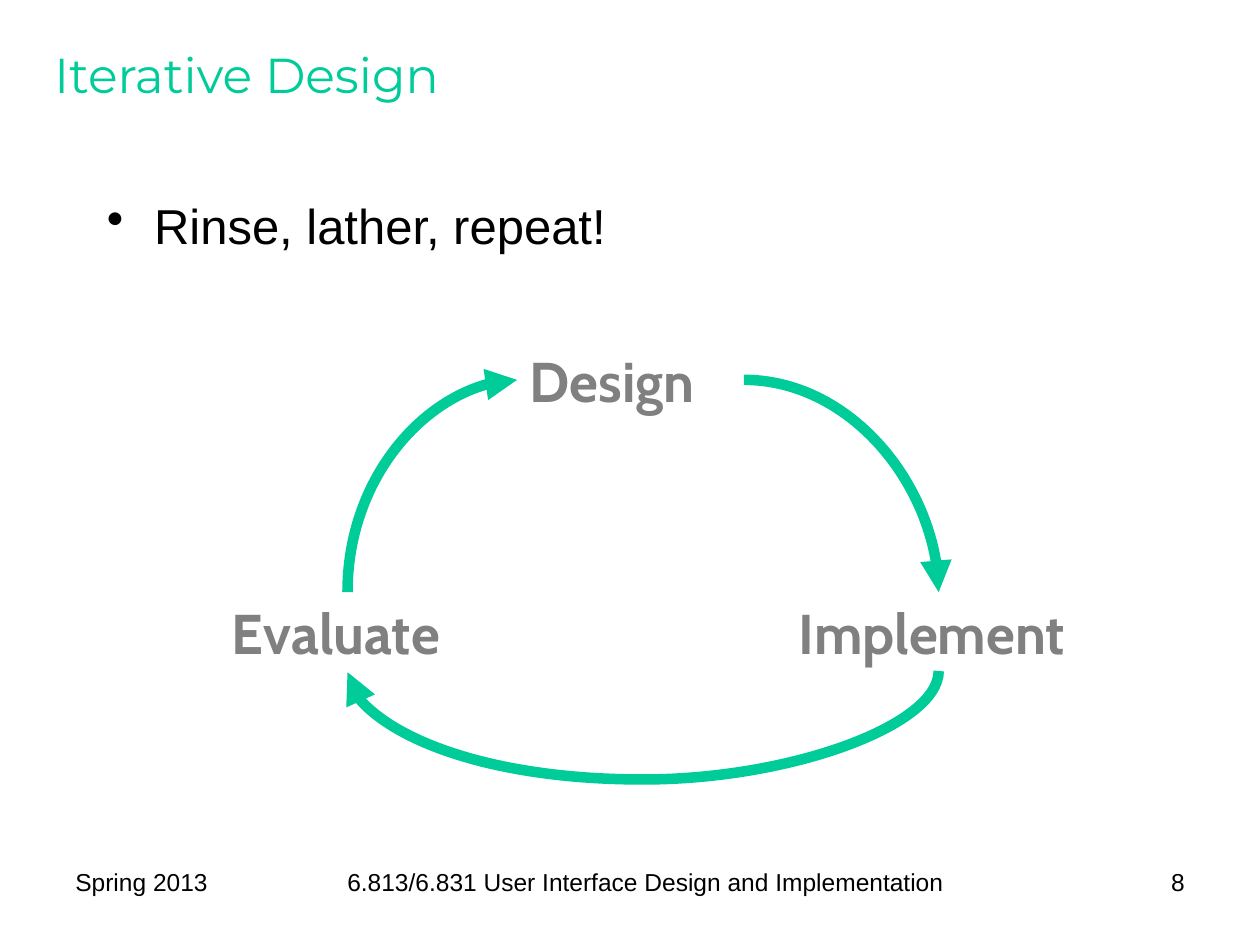
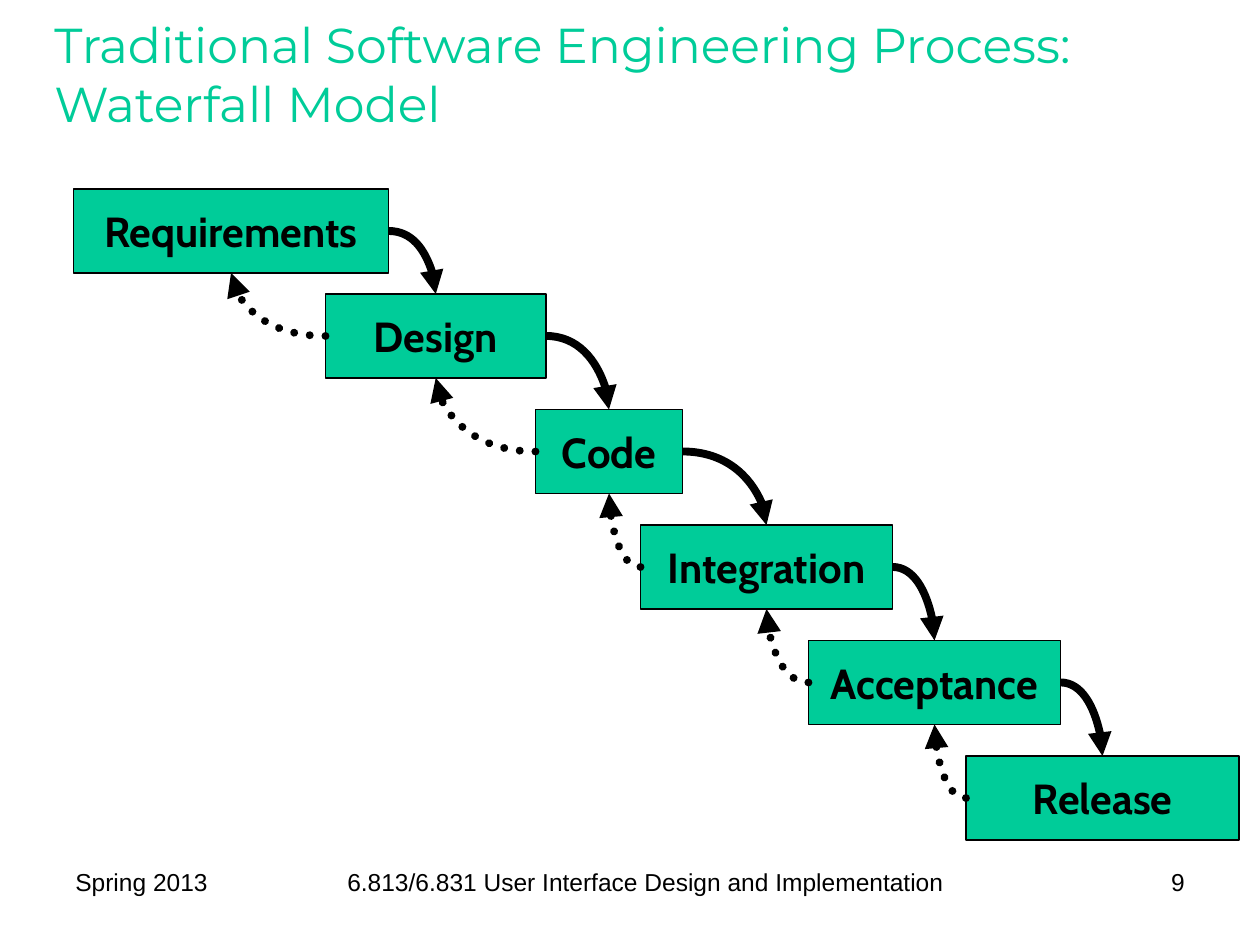
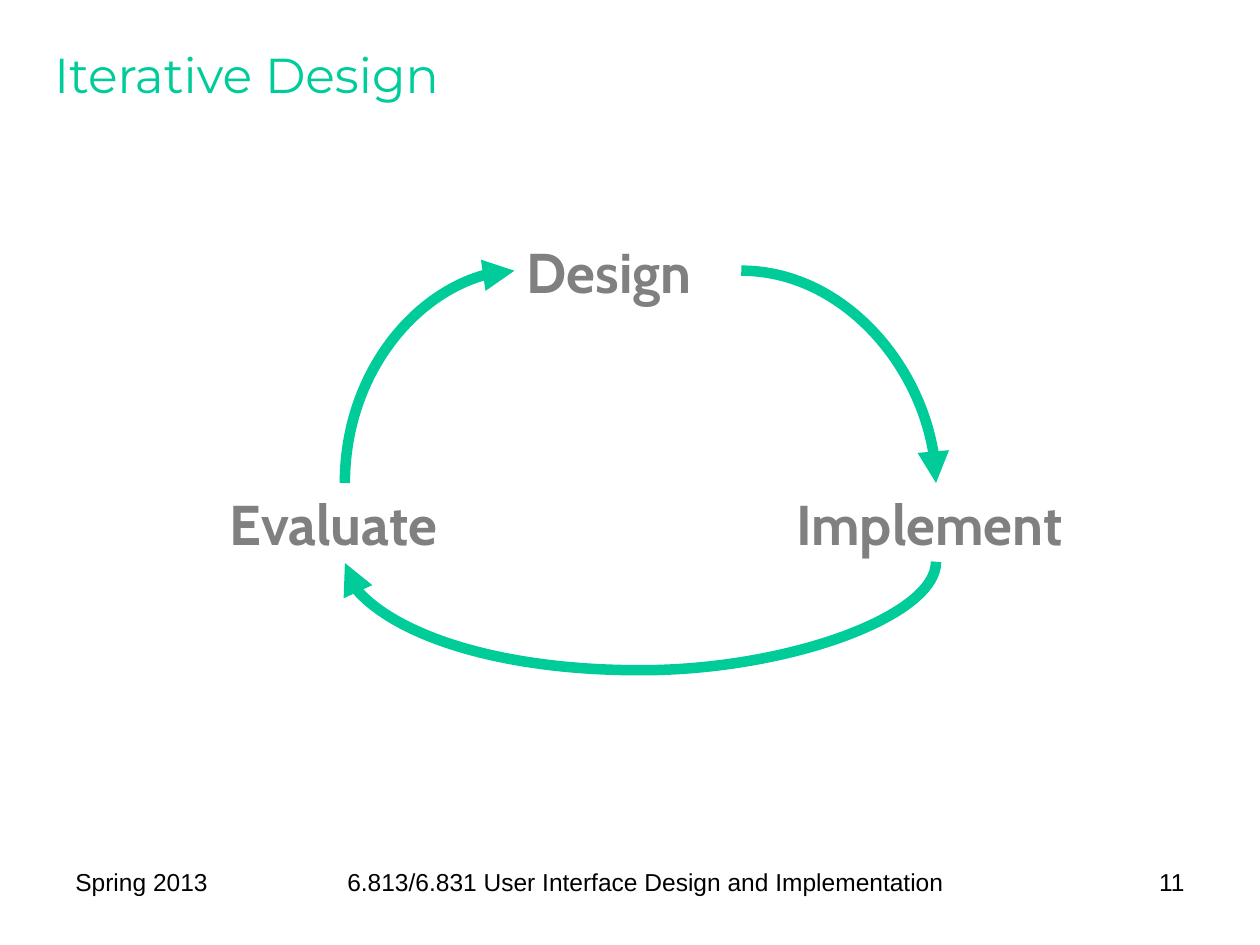
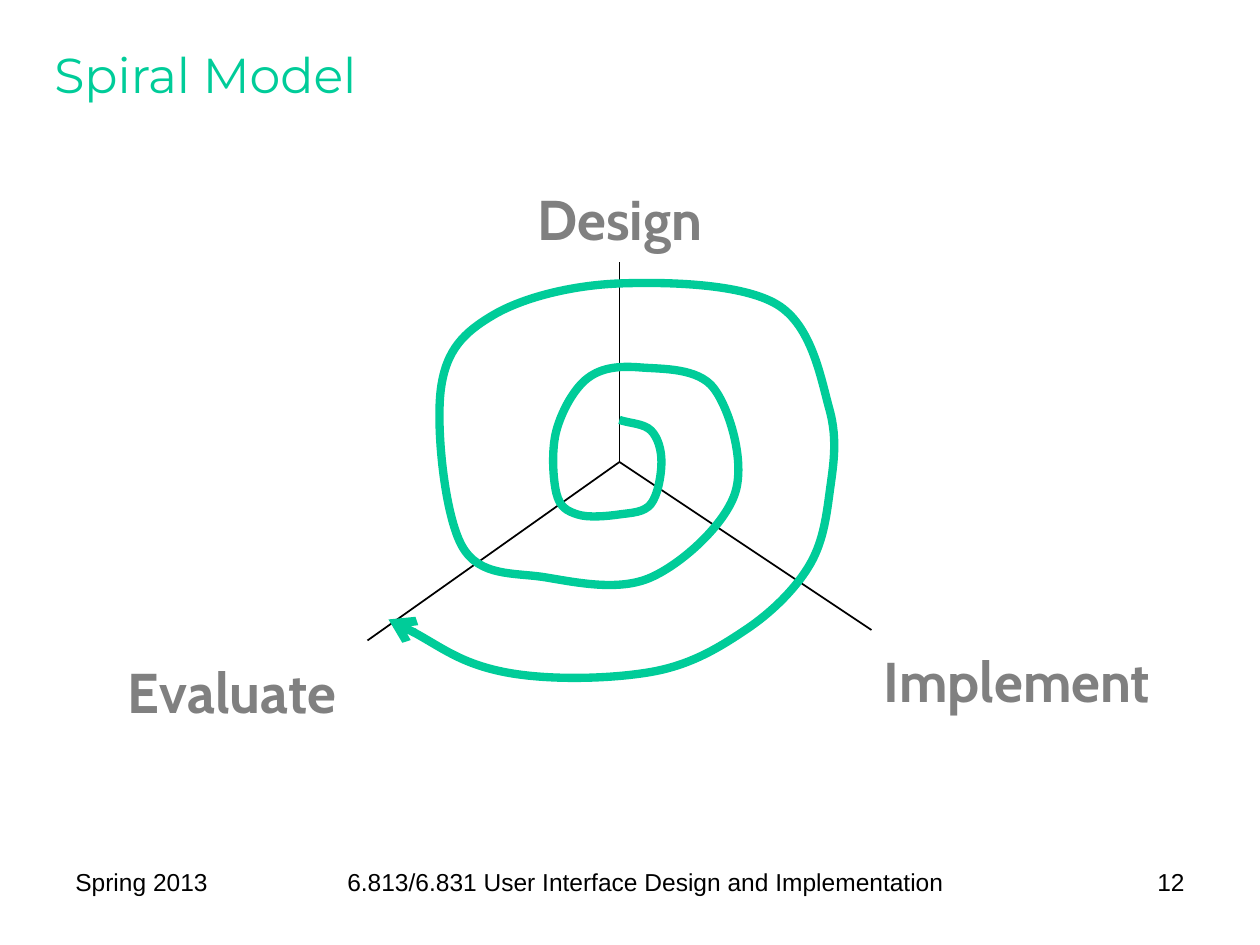
from itertools import pairwise
from lxml.etree import SubElement
from pptx import Presentation
from pptx.dml.color import RGBColor
from pptx.enum.dml import MSO_LINE
from pptx.enum.shapes import MSO_CONNECTOR, MSO_SHAPE
from pptx.enum.text import MSO_ANCHOR, MSO_AUTO_SIZE, PP_ALIGN
from pptx.oxml.ns import qn
from pptx.util import Inches, Pt

GREEN, GRAY, BLACK = "00CC99", "808080", "000000"
COLS, ROWS = 120, 90
TOP, LEFT, BOTTOM, RIGHT = range(4)
TURN = {RIGHT: 0, BOTTOM: 90, LEFT: 180, TOP: 270}

TITLE = {"name": "Montserrat", "size": Pt(28), "color": GREEN}
BODY = {"name": "Arial", "size": Pt(28), "color": BLACK}
FOOTER = {"name": "Arial", "size": Pt(14), "color": BLACK}
STEP = {"name": "Cabin", "size": Pt(32), "bold": True, "color": GRAY}
STAGE = {"name": "Cabin", "size": Pt(24), "bold": True, "color": BLACK}

STEP_WIDTHS = {"Design": 21.6, "Implement": 29, "Evaluate": 24.4}
STAGES = [
    ("Requirements", 7, 18, 30),
    ("Design", 31, 28, 21),
    ("Code", 51, 39, 14),
    ("Integration", 61, 50, 24),
    ("Acceptance", 77, 61, 24),
    ("Release", 92, 72, 26),
]
SPIRAL = [
    (59, 40), (62, 41), (63, 44), (62, 48), (59, 49), (55, 49), (53, 47),
    (53, 41), (56, 36), (61, 35), (68, 37), (70, 47), (62, 55), (52, 55),
    (44, 52), (42, 37), (47, 30), (59, 27), (74, 29), (79, 39), (79, 47),
    (77, 54), (71, 60), (62, 64), (48, 64), (37, 59),
]


def u(n):
    return Inches(n / 12)


def rgb(color):
    return RGBColor.from_string(color)


def write(tf, text, style, align=PP_ALIGN.LEFT, anchor=MSO_ANCHOR.TOP, wrap=True):
    tf.word_wrap = wrap
    tf.vertical_anchor = anchor
    p = tf.paragraphs[0]
    p.text = text
    p.alignment = align
    for r in p.runs:
        for key, value in style.items():
            if key == "color":
                r.font.color.rgb = rgb(value)
            else:
                setattr(r.font, key, value)
    return p


def add_text(s, box, text, style, **layout):
    tb = s.shapes.add_textbox(*map(u, box))
    write(tb.text_frame, text, style, **layout)
    return tb


def add_bullet(s, box, text):
    p = add_text(s, box, text, BODY).text_frame.paragraphs[0]
    p.space_before = Pt(5.6)
    pPr = p._p.get_or_add_pPr()
    pPr.set("marL", str(u(4.5)))
    pPr.set("indent", str(-u(4.5)))
    SubElement(pPr, qn("a:buChar"), char="•")


def add_step(s, name, x, y):
    tb = add_text(s, (x, y, STEP_WIDTHS[name], 7.56), name, STEP, wrap=False)
    tb.text_frame.auto_size = MSO_AUTO_SIZE.SHAPE_TO_FIT_TEXT
    return tb


def add_stage(s, name, x, y, w):
    sp = s.shapes.add_shape(MSO_SHAPE.RECTANGLE, *map(u, (x, y, w, 8)))
    sp.shadow.inherit = False
    sp.fill.solid()
    sp.fill.fore_color.rgb = rgb(GREEN)
    style_line(sp, BLACK, 1)
    write(sp.text_frame, name, STAGE, PP_ALIGN.CENTER, MSO_ANCHOR.MIDDLE, False)
    return sp


def style_line(sp, color, width, head=None, dotted=False):
    sp.line.color.rgb = rgb(color)
    sp.line.width = Pt(width)
    ln = sp.element.spPr.find(qn("a:ln"))
    if dotted:
        sp.line.dash_style = MSO_LINE.ROUND_DOT
        ln.set("cap", "rnd")
    if head:
        SubElement(ln, qn("a:tailEnd"), type=head)


def add_line(s, start, end):
    cn = s.shapes.add_connector(MSO_CONNECTOR.STRAIGHT, *map(u, start + end))
    style_line(cn, BLACK, 1)
    SubElement(cn.element.spPr, qn("a:effectLst"))


def add_curve(s, start, side, end, end_side, color, width, dotted=False, bulge=None):
    cn = s.shapes.add_connector(MSO_CONNECTOR.CURVE, 0, 0, 0, 0)
    cn.begin_connect(start, side)
    cn.end_connect(end, end_side)
    cx, cy = cn.left + cn.width // 2, cn.top + cn.height // 2
    w, h = cn.width, cn.height
    if side in (TOP, BOTTOM):
        w, h = h, w
    geom = cn.element.spPr.find(qn("a:prstGeom"))
    if bulge:
        w = max(w, Inches(0.01))
        guides = geom.find(qn("a:avLst"))
        if guides is None:
            guides = SubElement(geom, qn("a:avLst"))
        SubElement(guides, qn("a:gd"), name="adj1", fmla=f"val {u(bulge) * 100000 // w}")
    else:
        geom.set("prst", "curvedConnector2")
    cn.left, cn.top, cn.width, cn.height = cx - w // 2, cy - h // 2, w, h
    xfrm = cn.element.spPr.find(qn("a:xfrm"))
    for key, value in {"rot": TURN[side] * 60000, "flipH": 0, "flipV": 0}.items():
        xfrm.set(key, str(value))
    style_line(cn, color, width, "triangle", dotted)
    SubElement(cn.element.spPr, qn("a:effectLst"))


def reflect(p, q):
    return 2 * p[0] - q[0], 2 * p[1] - q[1]


def add_smooth_path(s, nodes):
    points = [(u(x), u(y)) for x, y in nodes]
    builder = s.shapes.build_freeform(*points[0])
    builder.add_line_segments(points[1:], close=False)
    sp = builder.convert_to_shape()
    padded = [reflect(*points[:2]), *points, reflect(points[-1], points[-2])]
    slopes = [((b[0] - a[0]) / 6, (b[1] - a[1]) / 6) for a, b in zip(padded, padded[2:])]
    segments = list(sp.element.iter(qn("a:lnTo")))
    for seg, (p, q), (m, n) in zip(segments, pairwise(points), pairwise(slopes)):
        seg.tag = qn("a:cubicBezTo")
        seg.remove(seg[0])
        for x, y in ((p[0] + m[0], p[1] + m[1]), (q[0] - n[0], q[1] - n[1]), q):
            SubElement(seg, qn("a:pt"), x=str(round(x - sp.left)), y=str(round(y - sp.top)))
    sp.shadow.inherit = False
    sp.fill.background()
    style_line(sp, GREEN, 4.75, "arrow")


def new_slide(prs, title, number):
    s = prs.slides.add_slide(prs.slide_layouts[6])
    add_text(s, (4, 2, 111, 10), title, TITLE, anchor=MSO_ANCHOR.MIDDLE)
    for x, w, text, align in (
        (6, 18, "Spring 2013", PP_ALIGN.LEFT),
        (25, 73, "6.813/6.831 User Interface Design and Implementation", PP_ALIGN.CENTER),
        (99, 15, str(number), PP_ALIGN.RIGHT),
    ):
        add_text(s, (x, 82, w, 6.25), text, FOOTER, align=align)
    return s


def add_cycle(s, x, y):
    design = add_step(s, "Design", x + 28.35, y)
    implement = add_step(s, "Implement", x + 54, y + 24)
    evaluate = add_step(s, "Evaluate", x, y + 24)
    add_curve(s, evaluate, TOP, design, LEFT, GREEN, 6)
    add_curve(s, design, RIGHT, implement, TOP, GREEN, 6)
    add_curve(s, implement, BOTTOM, evaluate, BOTTOM, GREEN, 6, bulge=10.5)


def add_waterfall(s):
    boxes = [add_stage(s, *stage) for stage in STAGES]
    for a, b in pairwise(boxes):
        add_curve(s, a, RIGHT, b, TOP, BLACK, 4.5)
    for a, b in pairwise(boxes):
        add_curve(s, b, LEFT, a, BOTTOM, BLACK, 4.5, dotted=True)


def add_spiral(s):
    for name, x, y in (("Design", 50, 17), ("Implement", 83, 61), ("Evaluate", 11, 62)):
        add_step(s, name, x, y)
    for end in ((59, 25), (35, 61), (83, 60)):
        add_line(s, (59, 44), end)
    add_smooth_path(s, SPIRAL)


def main():
    prs = Presentation()
    prs.slide_width, prs.slide_height = u(COLS), u(ROWS)

    s = new_slide(prs, "Iterative Design", 8)
    add_bullet(s, (9, 18, 102, 62), "Rinse, lather, repeat!")
    add_cycle(s, 20.9, 32.4)

    s = new_slide(prs, "Traditional Software Engineering Process: \nWaterfall Model", 9)
    add_waterfall(s)

    s = new_slide(prs, "Iterative Design", 11)
    add_cycle(s, 20.65, 22)

    s = new_slide(prs, "Spiral Model", 12)
    add_spiral(s)

    prs.save("out.pptx")


if __name__ == "__main__":
    main()
